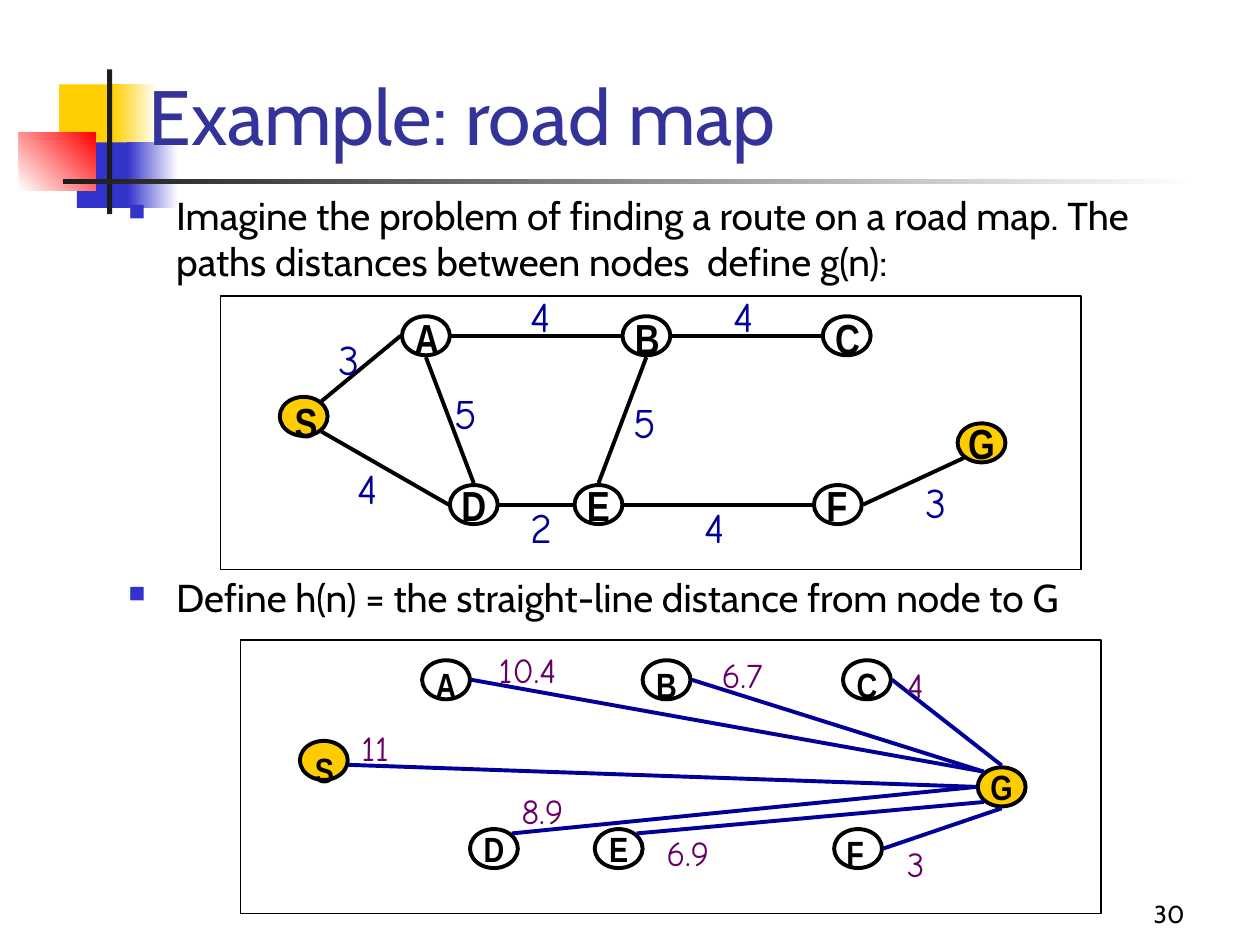
import math

from lxml import etree
from pptx import Presentation
from pptx import util as u
from pptx.dml import color
from pptx.enum import shapes, text
from pptx.oxml import ns

SCALE = 9144
BLACK, WHITE, NAVY, PURPLE = "000000", "FFFFFF", "000099", "660066"
YELLOW, BLUE, RED, DARK, GOLD = "FFCF01", "3333CC", "FF0000", "1C1C1C", "FFCC00"
NODE_WIDTH, NODE_HEIGHT = 38, 31
REACH_X, REACH_Y = 20, 17
COMPASS = {"E": 0, "ESE": 12, "SE": 45, "S": 90, "SW": 135,
           "W": 180, "NW": 225, "N": 270, "NE": 315}

NODES = {"A": (144, 16), "S": (47, 80), "D": (182, 150), "E": (281, 150),
         "C": (478, 16), "F": (471, 150), "B": (319, 16), "G": (585, 101)}
GOLD_NODES = "SG"
CENTRED_NODES = "DEG"

ROADS = {
    "box": (175, 235, 683, 217), "size": 24, "line": BLACK, "label": NAVY,
    "letters": [("S", 49, 75, 38), ("A", 144, 8, 39), ("B", 319, 8, 39),
                ("C", 478, 8, 39), ("F", 471, 141, 36)],
    "edges": ["S SE D W", "S NE A W", "D E E W", "A E B W", "B E C W",
              "E E F W", "F E G SW", "D N A S", "E N B S"],
    "distances": [("4", 236, -9, 36), ("4", 99, 127, 36), ("4", 374, 158, 36),
                  ("4", 397, -9, 36), ("3", 84, 25, 37), ("3", 550, 138, 37),
                  ("2", 236, 158, 37), ("5", 176, 68, 38), ("5", 318, 75, 38)],
}
STRAIGHT_LINES = {
    "box": (191, 508, 683, 217), "size": 20, "line": NAVY, "label": PURPLE,
    "letters": [("S", 49, 81, 35), ("A", 145, 14, 36), ("B", 320, 14, 36),
                ("C", 479, 14, 36), ("F", 471, 147, 34)],
    "edges": ["C E G N", "B E G NW", "A E G NW", "S ESE G W",
              "F E G S", "E NE G SW", "D NE G W"],
    "distances": [("4", 519, 14, 36), ("6.7", 372, 6, 64), ("10.4", 195, 2, 78),
                  ("11", 86, 64, 50), ("8.9", 213, 114, 64),
                  ("6.9", 328, 147, 64), ("3", 519, 156, 36)],
}


def px(value):
    return u.Emu(round(value * SCALE))


def rgb(value):
    return color.RGBColor.from_string(value)


def add_run(paragraph, words, size, font, fill, bold=False):
    run = paragraph.add_run()
    run.text = words
    run.font.size = u.Pt(size)
    run.font.name = font
    run.font.bold = bold
    run.font.color.rgb = rgb(fill)


def add_shape(parent, kind, box, fill=None, line=None, width=0.75):
    shape = parent.add_shape(kind, *map(px, box))
    shape.shadow.inherit = False
    if fill:
        shape.fill.solid()
        shape.fill.fore_color.rgb = rgb(fill)
    else:
        shape.fill.background()
    if line:
        shape.line.color.rgb = rgb(line)
        shape.line.width = u.Pt(width)
    else:
        shape.line.fill.background()
    return shape


def add_gradient(parent, box, start, end, angle=0):
    shape = add_shape(parent, shapes.MSO_SHAPE.RECTANGLE, box)
    shape.fill.gradient()
    shape.fill.gradient_angle = angle
    for stop, value in zip(shape.fill.gradient_stops, (start, end)):
        stop.color.rgb = rgb(value)


def add_label(parent, words, box, size, font, fill, bold=False):
    frame = parent.add_textbox(*map(px, box)).text_frame
    frame.word_wrap = False
    frame.auto_size = text.MSO_AUTO_SIZE.SHAPE_TO_FIT_TEXT
    add_run(frame.paragraphs[0], words, size, font, fill, bold)


def add_line(parent, start, end, fill):
    connector = parent.add_connector(
        shapes.MSO_CONNECTOR.STRAIGHT, *map(px, start + end))
    connector.line.color.rgb = rgb(fill)
    connector.line.width = u.Pt(2.25)
    etree.SubElement(connector._element.spPr, ns.qn("a:effectLst"))


def add_decoration(slide, left, top):
    parent = slide.shapes
    rectangle = shapes.MSO_SHAPE.RECTANGLE
    add_shape(parent, rectangle, (left + 32, top + 12, 48, 52), YELLOW)
    add_gradient(parent, (left + 74, top + 12, 36, 52), YELLOW, WHITE)
    add_shape(parent, rectangle, (left + 46, top + 58, 46, 52), BLUE)
    add_gradient(parent, (left + 86, top + 58, 40, 52), BLUE, WHITE)
    add_gradient(parent, (left, top + 50, 61, 46), WHITE, RED, 45)
    add_shape(parent, rectangle, (left + 70, top, 4, 115), DARK)
    add_gradient(parent, (left + 35, top + 87, 900, 4), DARK, WHITE)


def add_title(slide, box, words):
    title = slide.shapes.title
    title._element.getparent().append(title._element)
    title.left, title.top, title.width, title.height = map(px, box)
    frame = title.text_frame
    frame.auto_size = text.MSO_AUTO_SIZE.NONE
    frame.vertical_anchor = text.MSO_ANCHOR.BOTTOM
    paragraph = frame.paragraphs[0]
    paragraph.alignment = text.PP_ALIGN.LEFT
    add_run(paragraph, words, 44, "Cabin", "333399")


def add_bullet(slide, box, words):
    frame = slide.shapes.add_textbox(*map(px, box)).text_frame
    frame.word_wrap = True
    paragraph = frame.paragraphs[0]
    paragraph.space_before = u.Pt(6)
    properties = paragraph._p.get_or_add_pPr()
    properties.set("marL", str(px(38)))
    properties.set("indent", str(-px(38)))
    bullet_color = etree.SubElement(properties, ns.qn("a:buClr"))
    etree.SubElement(bullet_color, ns.qn("a:srgbClr"), val=BLUE)
    etree.SubElement(properties, ns.qn("a:buSzPct"), val="60000")
    etree.SubElement(properties, ns.qn("a:buChar"), char="■")
    add_run(paragraph, words, 22.2, "Cabin", BLACK)


def add_page_number(slide, box, number):
    frame = slide.shapes.add_textbox(*map(px, box)).text_frame
    frame.word_wrap = True
    frame.vertical_anchor = text.MSO_ANCHOR.BOTTOM
    paragraph = frame.paragraphs[0]
    paragraph.alignment = text.PP_ALIGN.RIGHT
    add_run(paragraph, number, 14, "Cabin", BLACK)


def edge_point(left, top, name, side):
    x, y = NODES[name]
    angle = math.radians(COMPASS[side])
    return (left + x + NODE_WIDTH / 2 + REACH_X * math.cos(angle),
            top + y + NODE_HEIGHT / 2 + REACH_Y * math.sin(angle))


def add_graph(slide, graph):
    left, top, _, _ = graph["box"]
    size = graph["size"]
    height = 50 if size == 24 else 44
    group = slide.shapes.add_group_shape().shapes
    add_shape(group, shapes.MSO_SHAPE.RECTANGLE, graph["box"], WHITE, BLACK)
    for name, (x, y) in NODES.items():
        node = add_shape(group, shapes.MSO_SHAPE.OVAL,
                         (left + x, top + y, NODE_WIDTH, NODE_HEIGHT),
                         GOLD if name in GOLD_NODES else None, BLACK, 2.25)
        if name in CENTRED_NODES:
            frame = node.text_frame
            frame.word_wrap = False
            frame.vertical_anchor = text.MSO_ANCHOR.MIDDLE
            paragraph = frame.paragraphs[0]
            paragraph.alignment = text.PP_ALIGN.CENTER
            add_run(paragraph, name, size, "Arial Narrow", BLACK, True)
    for edge in graph["edges"]:
        start, start_side, end, end_side = edge.split()
        add_line(group, edge_point(left, top, start, start_side),
                 edge_point(left, top, end, end_side), graph["line"])
    for name, x, y, width in graph["letters"]:
        add_label(group, name, (left + x, top + y, width, height),
                  size, "Arial Narrow", BLACK, True)
    for distance, x, y, width in graph["distances"]:
        add_label(group, distance, (left + x, top + y, width, height),
                  size, "Comic Neue", graph["label"])


def main():
    presentation = Presentation()
    presentation.slide_width, presentation.slide_height = px(1000), px(750)
    slide = presentation.slides.add_slide(presentation.slide_layouts[5])
    add_decoration(slide, 15, 55)
    add_page_number(slide, (742, 692, 208, 50), "30")
    add_title(slide, (108, 8, 800, 125), "Example: road map")
    add_bullet(slide, (92, 147, 858, 83),
               "Imagine the problem of finding a route on a road map. "
               "The paths distances between nodes  define g(n):")
    add_graph(slide, ROADS)
    add_graph(slide, STRAIGHT_LINES)
    add_bullet(slide, (92, 450, 867, 58),
               "Define h(n) = the straight-line distance from node to G")
    presentation.save("out.pptx")


if __name__ == "__main__":
    main()
